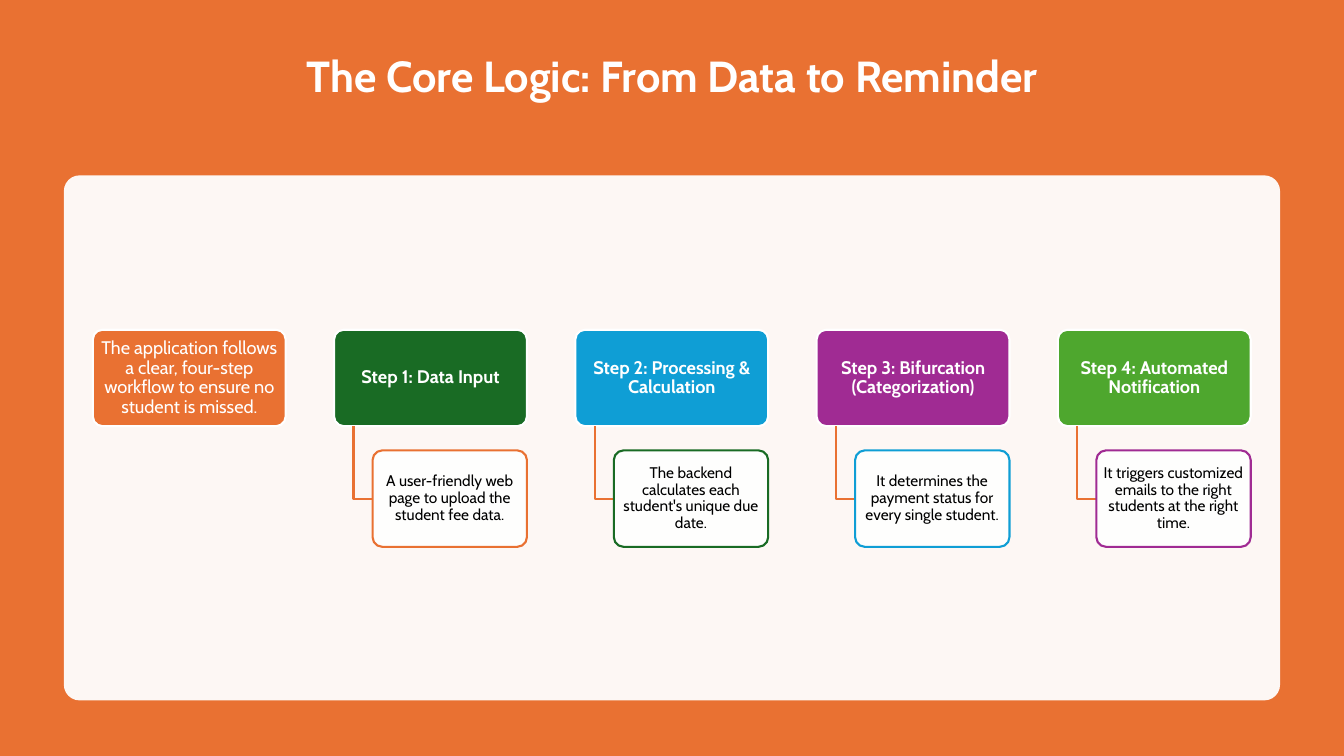
"""Build the reminder workflow slide with four coloured steps."""
from dataclasses import dataclass

from lxml import etree
from pptx import Presentation
from pptx import util as u
from pptx.dml import color
from pptx.enum import shapes, text
from pptx.oxml import ns

HUES = {
    "orange": "E97132", "green": "196B24", "blue": "0F9ED5",
    "purple": "A02B93", "lime": "4EA72E", "white": "FFFFFF", "black": "000000",
}
FONT = "Cabin"
WIDE, HIGH = 33.87, 19.05
LEFT, TOP, PITCH = 2.34, 8.31, 6.08
HEAD_W, BOX_H, GAP = 4.86, 2.43, 0.61
STEM, SHIFT, NOTE_W = 0.49, 0.97, 3.89


@dataclass
class Box:
    """Place and look of a filled shape."""
    left: float
    top: float
    width: float
    height: float
    fill: str
    edge: str = ""
    round: float = 0.1
    alpha: int = 100


@dataclass
class Step:
    """One column of the workflow."""
    head: str
    hue: str
    note: str = ""
    edge: str = ""


STEPS = [
    Step("The application follows a clear, four-step workflow to ensure no "
         "student is missed.", "orange"),
    Step("Step 1: Data Input", "green",
         "A user-friendly web page to upload the student fee data.", "orange"),
    Step("Step 2: Processing & Calculation", "blue",
         "The backend calculates each student's unique due date.", "green"),
    Step("Step 3: Bifurcation (Categorization)", "purple",
         "It determines the payment status for every single student.", "blue"),
    Step("Step 4: Automated Notification", "lime",
         "It triggers customized emails to the right students at the right time.",
         "purple"),
]


def tint(name: str) -> color.RGBColor:
    """Return the named colour."""
    return color.RGBColor.from_string(HUES[name])


def assign(item, values: dict) -> None:
    """Set every attribute in values on item."""
    for key, value in values.items():
        setattr(item, key, value)


def write(shape, words: str, size: float, hue: str, bold: bool, pads: tuple) -> None:
    """Put one centred paragraph into a shape, with pads as left, top, right, bottom."""
    frame = shape.text_frame
    frame.text = words
    sides = ("margin_left", "margin_top", "margin_right", "margin_bottom")
    assign(frame, {"word_wrap": True, "auto_size": text.MSO_AUTO_SIZE.NONE,
                   "vertical_anchor": text.MSO_ANCHOR.MIDDLE,
                   **{side: u.Cm(pad) for side, pad in zip(sides, pads)}})
    para = frame.paragraphs[0]
    assign(para, {"alignment": text.PP_ALIGN.CENTER, "line_spacing": 0.9})
    font = para.runs[0].font
    assign(font, {"name": FONT, "size": u.Pt(size), "bold": bold})
    font.color.rgb = tint(hue)


def stroke(shape, hue: str) -> None:
    """Give a shape its outline."""
    shape.line.color.rgb = tint(hue)
    shape.line.width = u.Pt(1.5)


def draw(slide, box: Box):
    """Draw a box, rounded if asked, and return its shape."""
    kind = shapes.MSO_SHAPE.ROUNDED_RECTANGLE if box.round else shapes.MSO_SHAPE.RECTANGLE
    place = (u.Cm(v) for v in (box.left, box.top, box.width, box.height))
    shape = slide.shapes.add_shape(kind, *place)
    shape.shadow.inherit = False
    if box.round:
        shape.adjustments[0] = box.round
    shape.fill.solid()
    shape.fill.fore_color.rgb = tint(box.fill)
    if box.alpha < 100:
        node = shape.element.spPr.find(".//" + ns.qn("a:srgbClr"))
        etree.SubElement(node, ns.qn("a:alpha"), val=str(box.alpha * 1000))
    if box.edge:
        stroke(shape, box.edge)
    else:
        shape.line.fill.background()
    return shape


def elbow(slide, left: float, top: float) -> None:
    """Draw the bent line from a step head to its note."""
    low = top + GAP + BOX_H / 2
    pen = slide.shapes.build_freeform(u.Cm(left), u.Cm(top))
    pen.add_line_segments([(u.Cm(left), u.Cm(low)),
                           (u.Cm(left + SHIFT - STEM), u.Cm(low))], close=False)
    shape = pen.convert_to_shape()
    shape.shadow.inherit = False
    shape.fill.background()
    stroke(shape, "orange")


def column(slide, rank: int, step: Step) -> None:
    """Draw a step head and, if it has one, its note."""
    left, foot = LEFT + rank * PITCH, TOP + BOX_H
    head = draw(slide, Box(left, TOP, HEAD_W, BOX_H, step.hue, "white"))
    write(head, step.head, 13, "white", bool(step.note), (0.07, 0.05, 0.07, 0.05))
    if step.note:
        elbow(slide, left + STEM, foot)
        note = draw(slide, Box(left + SHIFT, foot + GAP, NOTE_W, BOX_H,
                               "white", step.edge, alpha=90))
        write(note, step.note, 11, "black", False, (0.05,) * 4)


def main() -> None:
    """Build and save the slide."""
    deck = Presentation()
    assign(deck, {"slide_width": u.Cm(WIDE), "slide_height": u.Cm(HIGH)})
    slide = deck.slides.add_slide(deck.slide_layouts[5])
    title = slide.shapes.title
    assign(title, {"left": u.Cm(2.33), "top": u.Cm(1.27),
                   "width": u.Cm(29.21), "height": u.Cm(2.8)})
    write(title, "The Core Logic: From Data to Reminder", 31, "white", True,
          (0.25, 0, 0.25, 1.37))
    back = draw(slide, Box(0, 0, WIDE, HIGH, "orange", round=0))
    title.element.addprevious(back.element)
    draw(slide, Box(1.61, 4.42, 30.65, 13.23, "white", round=0.03, alpha=95))
    for rank, step in enumerate(STEPS):
        column(slide, rank, step)
    deck.save("out.pptx")


if __name__ == "__main__":
    main()
